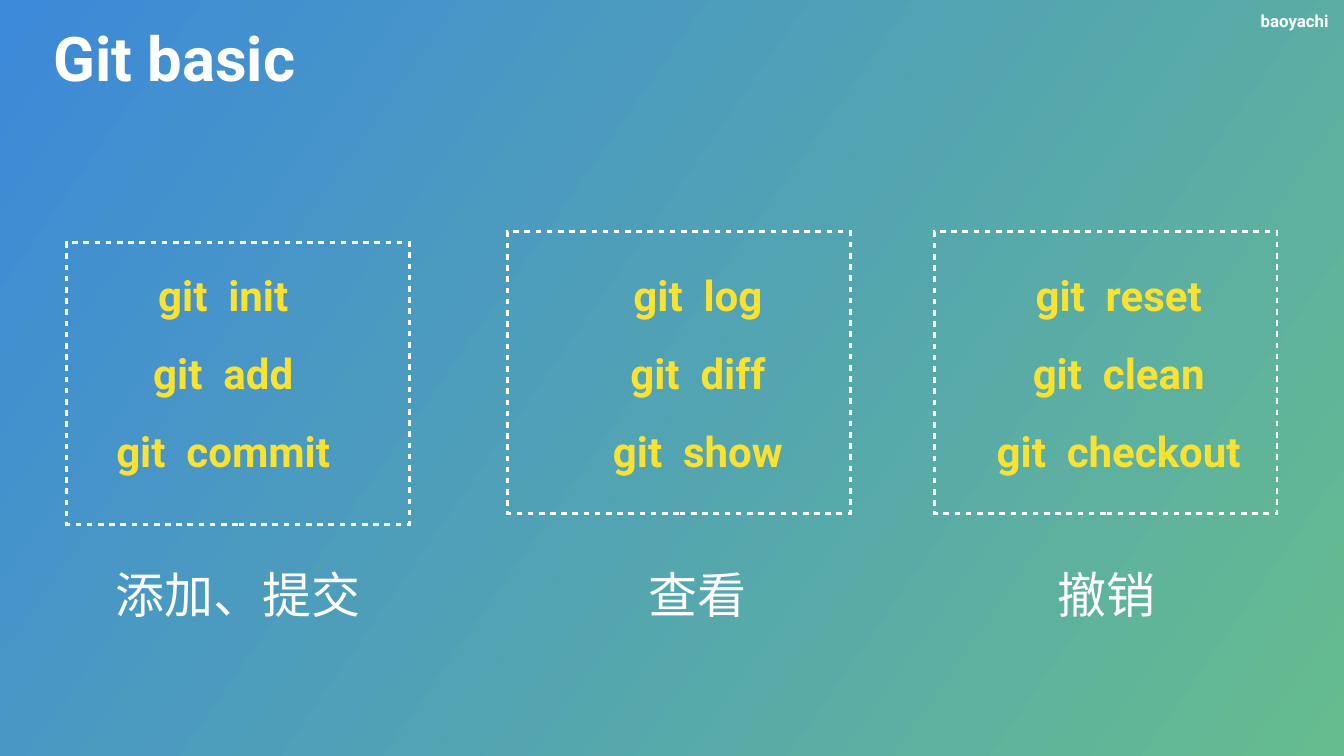
import pptx
import pptx.util
import pptx.dml.color
import pptx.enum.shapes
import pptx.enum.text
import pptx.oxml
import pptx.oxml.ns
from dataclasses import dataclass

Inches = pptx.util.Inches
Pt = pptx.util.Pt


@dataclass(frozen=True)
class Theme:
    white: str = "FFFFFF"
    yellow: str = "FAE232"
    gradient: tuple = ("3D89D9", "66BC8F")
    gradient_angle: int = 325
    font: str = "Roboto"
    label_font: str = "Roboto Condensed"
    author_size: int = 24
    title_size: int = 88
    command_size: int = 60
    label_size: int = 70
    line_width: int = 4
    inset: float = 0.06


THEME = Theme()

AUTHOR = "baoyachi"
TITLE = "Git basic"
GROUPS = [
    {
        "label": "添加、提交", "label_center": 4.73, "label_width": 4.99,
        "frame": (1.32, 4.81), "center": 4.43,
        "commands": [("git  init", 2.82), ("git  add", 3.1), ("git  commit", 4.61)],
    },
    {
        "label": "查看", "label_center": 13.85, "label_width": 2.07,
        "frame": (10.07, 4.6), "center": 13.85,
        "commands": [("git  log", 2.84), ("git  diff", 2.86), ("git  show", 3.74)],
    },
    {
        "label": "撤销", "label_center": 21.95, "label_width": 2.07,
        "frame": (18.54, 4.6), "center": 22.2,
        "commands": [("git  reset", 3.61), ("git  clean", 3.75), ("git  checkout", 5.31)],
    },
]

FRAME_SIZE = (6.8, 5.59)
COMMAND_TOP, COMMAND_STEP, COMMAND_HEIGHT = 5.29, 1.545, 1.11
LABEL_TOP, LABEL_HEIGHT = 11.05, 1.47


def rgb(value):
    return pptx.dml.color.RGBColor.from_string(value)


def add_text(page, text, center, top, width, height, size, color, font=THEME.font, bold=True):
    box = page.shapes.add_textbox(
        Inches(center - width / 2), Inches(top), Inches(width), Inches(height))
    frame = box.text_frame
    frame.text = text
    frame.word_wrap = False
    frame.auto_size = pptx.enum.text.MSO_AUTO_SIZE.SHAPE_TO_FIT_TEXT
    frame.vertical_anchor = pptx.enum.text.MSO_ANCHOR.MIDDLE
    frame.margin_left = frame.margin_right = Inches(THEME.inset)
    frame.margin_top = frame.margin_bottom = Inches(THEME.inset)
    para = frame.paragraphs[0]
    para.alignment = pptx.enum.text.PP_ALIGN.CENTER
    span = para.runs[0]
    span.font.name = font
    span.font.size = Pt(size)
    span.font.bold = bold
    span.font.color.rgb = rgb(color)


def add_dashed_frame(page, left, top):
    frame = page.shapes.add_shape(
        pptx.enum.shapes.MSO_SHAPE.RECTANGLE,
        Inches(left), Inches(top), *map(Inches, FRAME_SIZE))
    frame.shadow.inherit = False
    frame.fill.background()
    frame.line.color.rgb = rgb(THEME.white)
    frame.line.width = Pt(THEME.line_width)
    namespace = pptx.oxml.ns.nsdecls("a")
    outline = frame.line._get_or_add_ln()
    outline.append(pptx.oxml.parse_xml(
        f'<a:custDash {namespace}><a:ds d="200000" sp="200000"/></a:custDash>'))
    outline.append(pptx.oxml.parse_xml(f'<a:miter {namespace} lim="400000"/>'))


def paint_background(page):
    fill = page.background.fill
    fill.gradient()
    fill.gradient_angle = THEME.gradient_angle
    for stop, color in zip(fill.gradient_stops, THEME.gradient):
        stop.color.rgb = rgb(color)


def main():
    deck = pptx.Presentation()
    deck.slide_width, deck.slide_height = Inches(26.67), Inches(15)
    page = deck.slides.add_slide(deck.slide_layouts[6])
    paint_background(page)
    add_text(page, AUTHOR, 25.69, 0.16, 1.56, 0.5, THEME.author_size, THEME.white)
    add_text(page, TITLE, 3.46, 0.33, 5.26, 1.58, THEME.title_size, THEME.white)

    for group in GROUPS:
        for row, (command, width) in enumerate(group["commands"]):
            add_text(page, command, group["center"], COMMAND_TOP + row * COMMAND_STEP,
                     width, COMMAND_HEIGHT, THEME.command_size, THEME.yellow)
        add_dashed_frame(page, *group["frame"])
        add_text(page, group["label"], group["label_center"], LABEL_TOP,
                 group["label_width"], LABEL_HEIGHT, THEME.label_size, THEME.white,
                 font=THEME.label_font, bold=False)

    deck.save("out.pptx")


if __name__ == "__main__":
    main()
